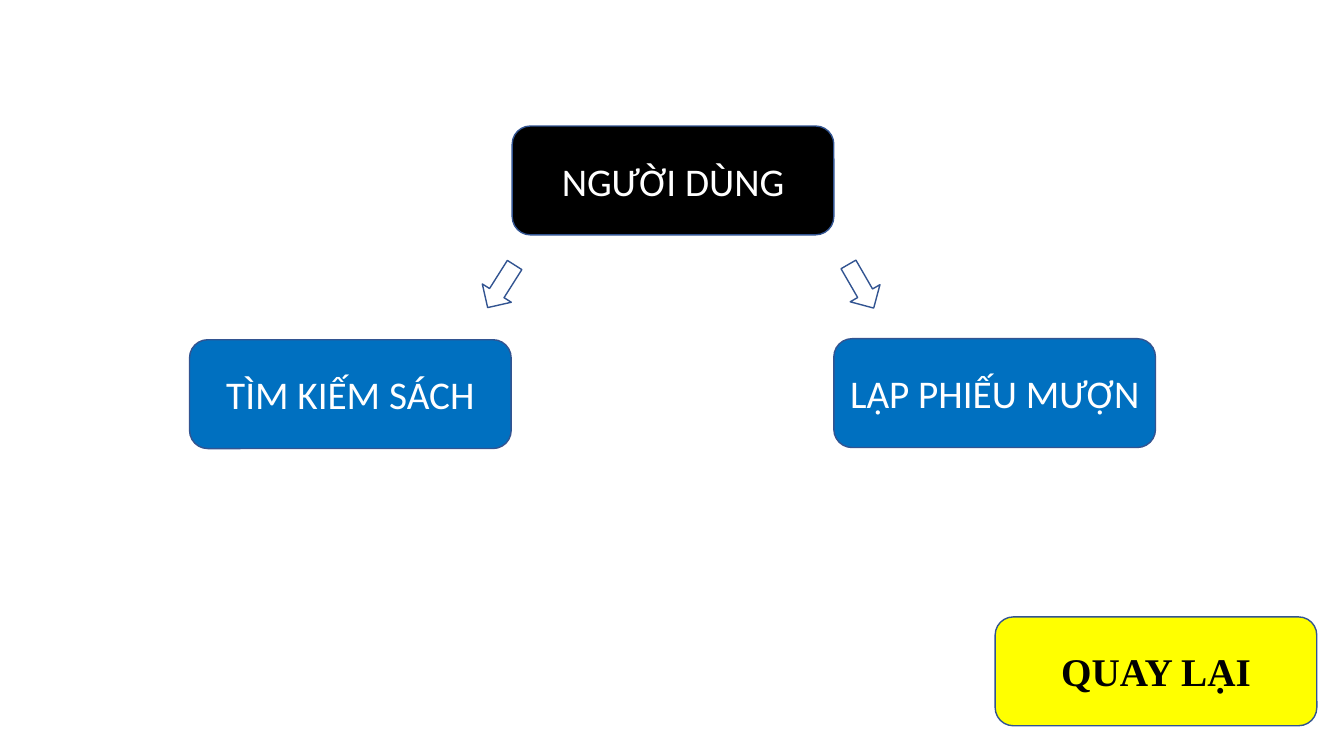
from pptx import Presentation
from pptx.dml.color import RGBColor
from pptx.enum.shapes import MSO_SHAPE as Shape
from pptx.enum.text import MSO_ANCHOR as Anchor, PP_ALIGN as Align
from pptx.util import Inches, Pt

OUTLINE = "325491"
BOX_SIZE = (3.19, 1.08)
ARROW_SIZE = (0.5, 0.34)

# label, left, top, fill, text colour, font, bold
BOXES = [
    ("NGƯỜI DÙNG", 5.08, 1.25, "000000", "FFFFFF", "Calibri", False),
    ("LẬP PHIẾU MƯỢN", 8.27, 3.36, "0070C0", "FFFFFF", "Calibri", False),
    ("TÌM KIẾM SÁCH", 1.88, 3.37, "0070C0", "FFFFFF", "Calibri", False),
    ("QUAY LẠI", 9.87, 6.12, "FFFF00", "000000", "Times New Roman", True),
]
# left, top, rotation
ARROWS = [(4.72, 2.67, 122.3), (8.29, 2.67, 60)]


def paint(color_format, hex_color):
    color_format.rgb = RGBColor.from_string(hex_color)


def add_outlined(slide, kind, left, top, size, fill):
    shape = slide.shapes.add_shape(kind, *map(Inches, (left, top, *size)))
    shape.shadow.inherit = False
    shape.fill.solid()
    paint(shape.fill.fore_color, fill)
    paint(shape.line.color, OUTLINE)
    shape.line.width = Pt(1)
    return shape


def add_box(slide, label, left, top, fill, color, font, bold):
    box = add_outlined(slide, Shape.ROUNDED_RECTANGLE, left, top, BOX_SIZE, fill)
    frame = box.text_frame
    frame.word_wrap = True
    frame.vertical_anchor = Anchor.MIDDLE
    paragraph = frame.paragraphs[0]
    paragraph.alignment = Align.CENTER
    run = paragraph.add_run()
    run.text = label
    run.font.name = font
    run.font.size = Pt(28)
    run.font.bold = bold
    paint(run.font.color, color)


def main():
    deck = Presentation()
    deck.slide_width, deck.slide_height = Inches(13.33), Inches(7.5)
    slide = deck.slides.add_slide(deck.slide_layouts[6])
    for box in BOXES:
        add_box(slide, *box)
    for left, top, rotation in ARROWS:
        arrow = add_outlined(slide, Shape.RIGHT_ARROW, left, top, ARROW_SIZE, "FFFFFF")
        arrow.rotation = rotation
    deck.save("out.pptx")


if __name__ == "__main__":
    main()
